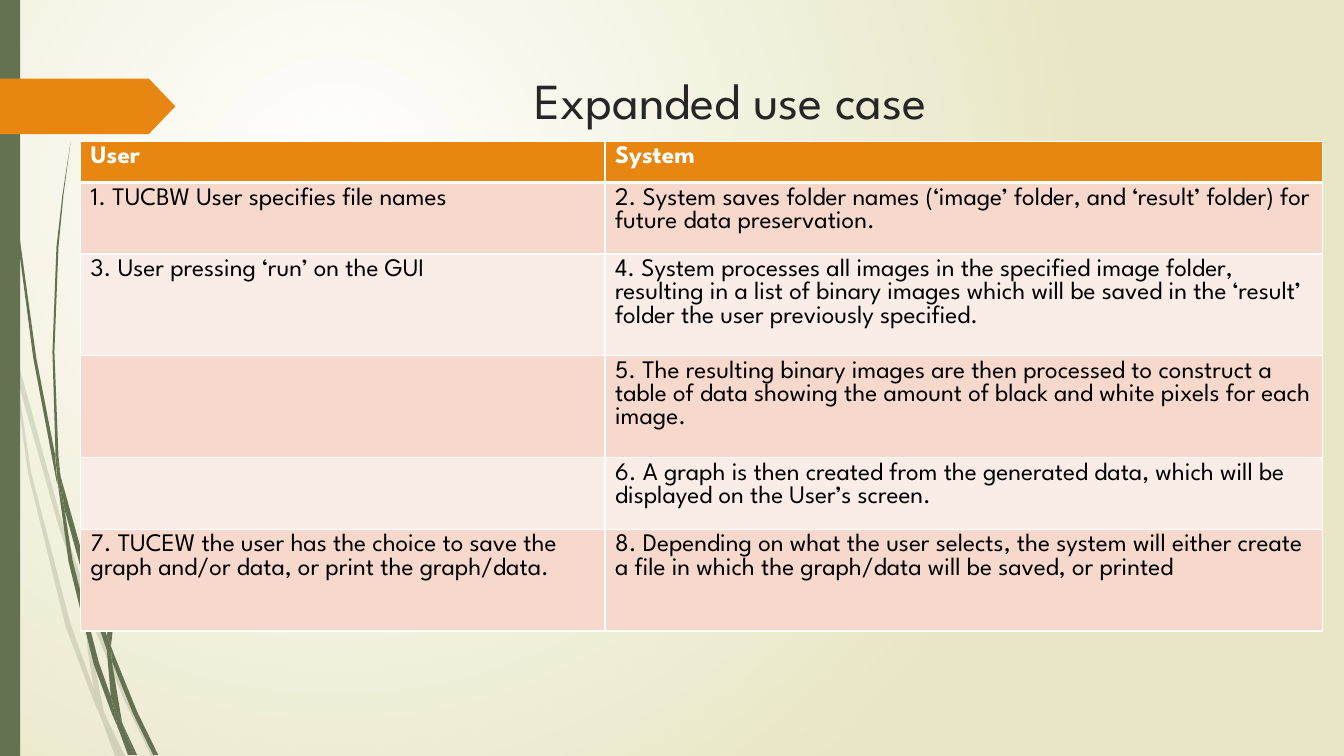
from dataclasses import dataclass

import lxml.etree
import pptx
import pptx.dml.color
import pptx.enum.shapes
import pptx.enum.text
import pptx.oxml
import pptx.oxml.ns
import pptx.util

PX = 9144


@dataclass(frozen=True)
class Theme:
    font: str = "League Spartan"
    title_size: int = 36
    table_size: int = 18
    title_ink: str = "262626"
    ink: str = "000000"
    white: str = "FFFFFF"
    cream: str = "E8E6C4"
    green: str = "647252"
    orange: str = "E78712"
    bands: tuple = ("F6D9CC", "FAEDE7")
    pale_alpha: int = 20


PALE_WISPS = [
    [(11, 350), (9, 322), (0, 282), (0, 299), (10, 344)],
    [(58, 522), (84, 599), (85, 586), (62, 520), (14, 345), (17, 376)],
    [(92, 607), (88, 596), (88, 610), (123, 694), (150, 750), (155, 750), (127, 692)],
    [(119, 750), (124, 750), (105, 711)],
    [(93, 683), (70, 619), (31, 469), (17, 376), (11, 350), (28, 470), (65, 621),
     (92, 693), (101, 714), (99, 707)],
    [(84, 599), (87, 646), (93, 683), (96, 692), (105, 711), (103, 706), (91, 646),
     (88, 610), (88, 608)],
    [(88, 584), (93, 523), (110, 462), (160, 349), (229, 245), (268, 198), (290, 175),
     (312, 154), (312, 153), (289, 175), (268, 197), (228, 244), (158, 348), (107, 461),
     (90, 523), (85, 584), (85, 586), (88, 596)],
    [(101, 714), (114, 750), (119, 750)],
    [(88, 608), (88, 610), (88, 596), (85, 586), (84, 599)],
    [(96, 692), (93, 683), (99, 707), (101, 714), (119, 750), (105, 711)],
]

DARK_WISPS = [
    [(7, 110), (17, 233), (33, 355), (56, 477), (57, 481), (55, 457), (55, 453),
     (36, 355), (19, 232), (8, 109), (5, 48), (4, 0), (3, 0), (4, 48)],
    [(88, 592), (106, 645), (106, 633), (106, 631), (93, 590), (60, 472), (64, 505)],
    [(113, 649), (110, 641), (111, 656), (132, 708), (152, 749), (157, 749), (136, 706)],
    [(110, 691), (98, 657), (72, 556), (64, 505), (57, 477), (68, 557), (93, 659),
     (111, 708), (117, 722), (116, 717)],
    [(60, 472), (58, 453), (54, 349), (58, 245), (63, 193), (70, 141), (62, 193),
     (56, 245), (52, 349), (55, 449)],
    [(133, 749), (136, 749), (122, 719)],
    [(57, 477), (64, 505), (60, 472), (55, 449), (55, 453)],
    [(111, 633), (115, 592), (125, 552), (158, 476), (205, 406), (231, 374), (245, 359),
     (261, 344), (260, 344), (245, 358), (231, 373), (204, 405), (156, 474), (122, 551),
     (111, 591), (106, 631), (110, 641)],
    [(117, 722), (127, 749), (131, 749)],
    [(106, 645), (110, 691), (116, 706), (122, 719), (121, 716), (111, 656), (109, 651)],
    [(106, 645), (109, 651), (111, 656), (110, 641), (106, 631), (106, 633)],
    [(116, 706), (110, 691), (116, 717), (117, 722), (130, 749), (133, 749), (122, 719)],
]

USE_CASE = [
    ("User", "System"),
    ("1. TUCBW User specifies file names",
     "2. System saves folder names (‘image’ folder, and ‘result’ folder) for future data "
     "preservation."),
    ("3. User pressing ‘run’ on the GUI",
     "4. System processes all images in the specified image folder, resulting in a list of "
     "binary images which will be saved in the ‘result’ folder the user previously specified."),
    ("",
     "5. The resulting binary images are then processed to construct a table of data showing "
     "the amount of black and white pixels for each image."),
    ("",
     "6. A graph is then created from the generated data, which will be displayed on the "
     "User’s screen."),
    ("7. TUCEW the user has the choice to save the graph and/or data, or print the graph/data.",
     "8. Depending on what the user selects, the system will either create a file in which "
     "the graph/data will be saved, or printed"),
]
COLUMN_WIDTHS = (520, 712)
ROW_HEIGHTS = (41, 71, 101, 101, 71, 101)


def rgb(color):
    return pptx.dml.color.RGBColor.from_string(color)


def px(*lengths):
    return [pptx.util.Emu(length * PX) for length in lengths]


class SlideBuilder:
    def __init__(self, presentation, theme):
        self.theme = theme
        self.slide = presentation.slides.add_slide(presentation.slide_layouts[5])

    def background(self, inner, outer):
        fill = self.slide.background.fill
        fill.gradient()
        for stop, color in zip(fill.gradient_stops, (inner, outer)):
            stop.color.rgb = rgb(color)
        gradient = self.slide.element.find(".//" + pptx.oxml.ns.qn("a:gradFill"))
        gradient.remove(gradient.find(pptx.oxml.ns.qn("a:lin")))
        gradient.append(pptx.oxml.parse_xml(
            f'<a:path {pptx.oxml.ns.nsdecls("a")} path="circle">'
            '<a:fillToRect l="50000" t="50000" r="100000" b="100000"/></a:path>'))

    def paint(self, shape, color, alpha=None):
        shape.shadow.inherit = False
        shape.fill.solid()
        shape.fill.fore_color.rgb = rgb(color)
        shape.line.fill.background()
        if alpha is not None:
            color_element = shape.element.spPr.find(".//" + pptx.oxml.ns.qn("a:srgbClr"))
            lxml.etree.SubElement(
                color_element, pptx.oxml.ns.qn("a:alpha"), val=str(alpha * 1000))

    def wisp(self, points, color, alpha=None):
        builder = self.slide.shapes.build_freeform(*points[0], scale=PX)
        builder.add_line_segments(points[1:], close=True)
        self.paint(builder.convert_to_shape(), color, alpha)

    def block(self, kind, box, color):
        shape = self.slide.shapes.add_shape(kind, *px(*box))
        self.paint(shape, color)
        return shape

    def format(self, paragraph, size, color, bold=False):
        paragraph.font.name = self.theme.font
        paragraph.font.size = pptx.util.Pt(size)
        paragraph.font.bold = bold
        paragraph.font.color.rgb = rgb(color)

    def title(self, text, box):
        shape = self.slide.shapes.title
        shape.left, shape.top, shape.width, shape.height = px(*box)
        frame = shape.text_frame
        frame.text = text
        frame.word_wrap = True
        frame.auto_size = pptx.enum.text.MSO_AUTO_SIZE.NONE
        frame.vertical_anchor = pptx.enum.text.MSO_ANCHOR.TOP
        frame.margin_top = px(21)[0]
        paragraph = frame.paragraphs[0]
        paragraph.alignment = pptx.enum.text.PP_ALIGN.CENTER
        self.format(paragraph, self.theme.title_size, self.theme.title_ink)

    def border(self, cell, widths):
        properties = cell._tc.get_or_add_tcPr()
        for index, (side, width) in enumerate(widths.items()):
            properties.insert(index, pptx.oxml.parse_xml(
                f'<a:ln{side} {pptx.oxml.ns.nsdecls("a")} w="{width * 12700}"><a:solidFill>'
                f'<a:srgbClr val="{self.theme.white}"/></a:solidFill></a:ln{side}>'))

    def table(self, rows, left, top, widths, heights):
        frame = self.slide.shapes.add_table(
            len(rows), len(widths), *px(left, top, sum(widths), sum(heights)))
        table = frame.table
        for column, width in zip(table.columns, px(*widths)):
            column.width = width
        for row, height in zip(table.rows, px(*heights)):
            row.height = height
        for row_index, texts in enumerate(rows):
            header = row_index == 0
            fill = self.theme.orange if header else self.theme.bands[(row_index - 1) % 2]
            ink = self.theme.white if header else self.theme.ink
            for column_index, text in enumerate(texts):
                cell = table.cell(row_index, column_index)
                cell.text = text
                self.format(cell.text_frame.paragraphs[0], self.theme.table_size, ink, header)
                cell.fill.solid()
                cell.fill.fore_color.rgb = rgb(fill)
                self.border(cell, {"L": 1, "R": 1, "T": 3 if row_index == 1 else 1,
                                   "B": 3 if header else 1})


def main():
    theme = Theme()
    presentation = pptx.Presentation()
    presentation.slide_width, presentation.slide_height = px(1333, 750)
    builder = SlideBuilder(presentation, theme)
    builder.background(theme.white, theme.cream)
    for points in PALE_WISPS:
        builder.wisp(points, theme.green, theme.pale_alpha)
    for points in DARK_WISPS:
        builder.wisp(points, theme.green)
    shapes = pptx.enum.shapes.MSO_SHAPE
    builder.block(shapes.RECTANGLE, (0, 0, 20, 750), theme.green)
    arrow = builder.block(shapes.PENTAGON, (0, 78, 174, 55), theme.orange)
    arrow.adjustments[0] = 0.48
    builder.title("Expanded use case", (237, 48, 975, 140))
    builder.table(USE_CASE, 80, 140, COLUMN_WIDTHS, ROW_HEIGHTS)
    presentation.save("out.pptx")


if __name__ == "__main__":
    main()
